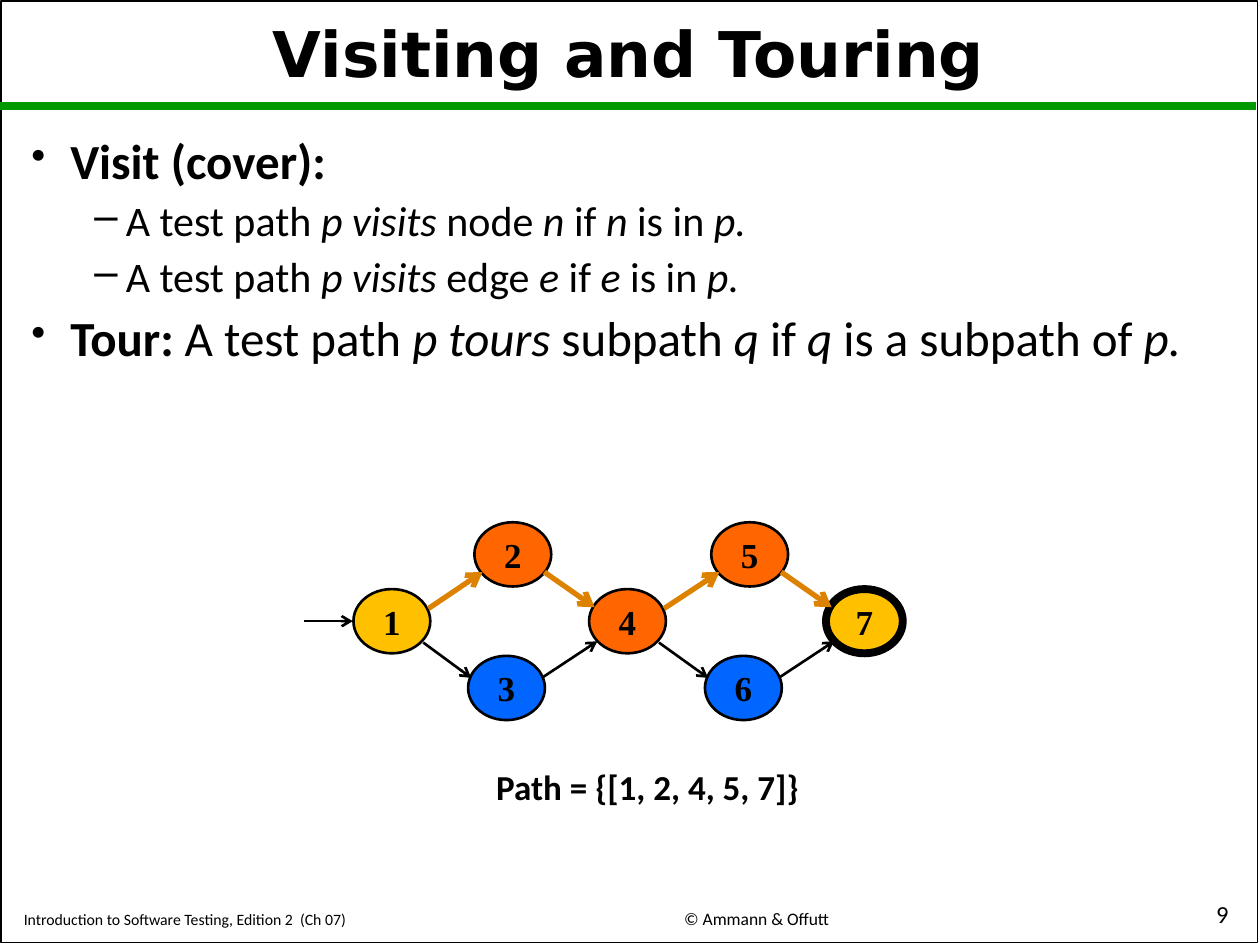
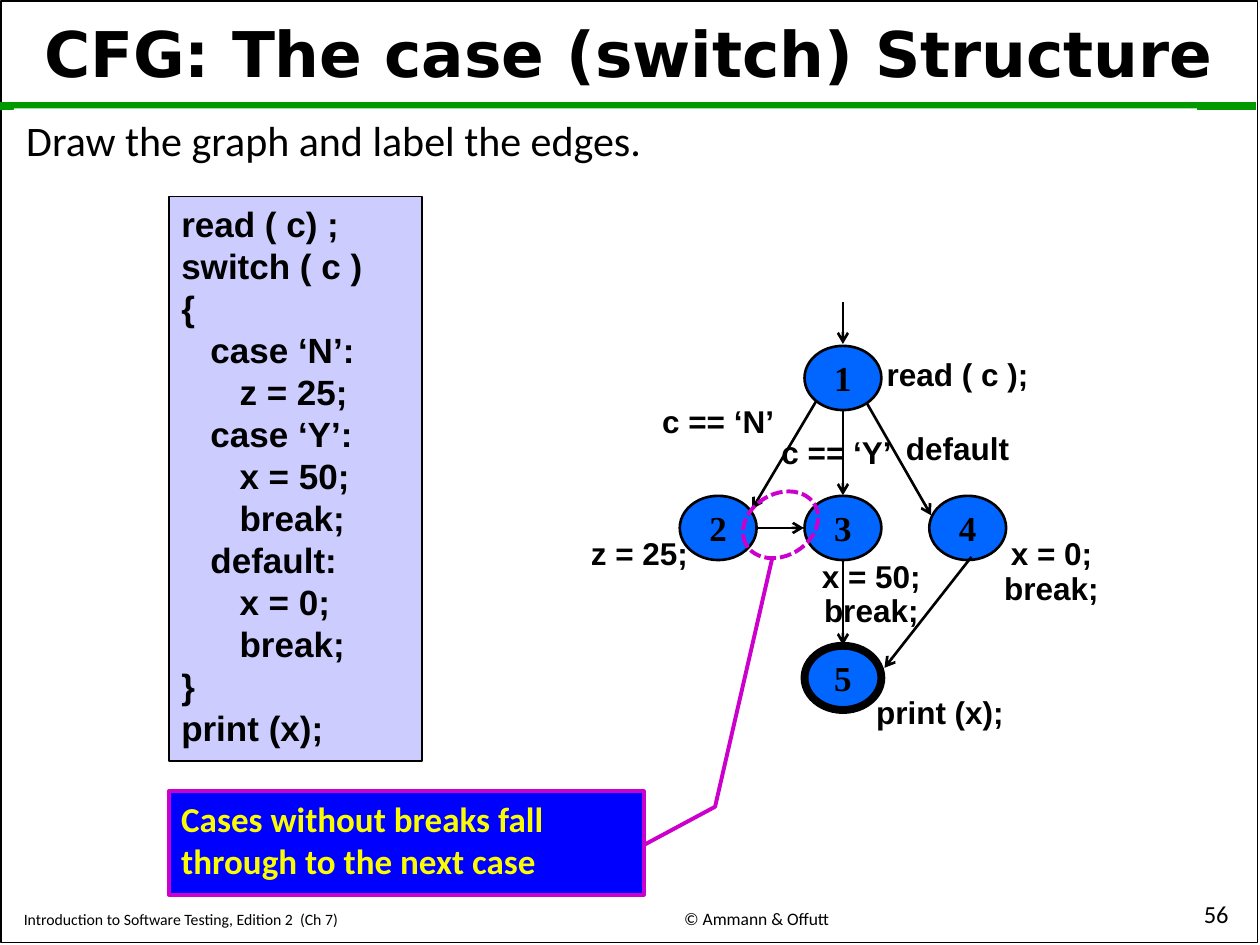
import dataclasses

import pptx
import pptx.dml.color
import pptx.enum.dml
import pptx.enum.shapes
import pptx.enum.text
import pptx.oxml
import pptx.util
from pptx.util import Inches, Pt

SHAPE = pptx.enum.shapes.MSO_SHAPE
ALIGN = pptx.enum.text.PP_ALIGN
ANCHOR = pptx.enum.text.MSO_ANCHOR


@dataclasses.dataclass(frozen=True)
class Theme:
    black: str = "000000"
    white: str = "FFFFFF"
    green: str = "009900"
    gold: str = "FFC000"
    orange: str = "FF6600"
    blue: str = "0066FF"
    tour: str = "DC8200"
    code_fill: str = "CCCCFF"
    note_fill: str = "0000FF"
    note_text: str = "FAFD00"
    magenta: str = "CC00CC"
    body_font: str = "Calibri"
    title_font: str = "DejaVu Sans"
    code_font: str = "Arial"
    node_font: str = "Times New Roman"
    title_size: int = 36
    topic_size: int = 28
    text_size: int = 24
    code_size: int = 20
    label_size: int = 18
    number_size: int = 14
    credit_size: int = 10
    source_size: int = 9
    thin: float = 1
    edge: float = 1.5
    callout: float = 2.25
    path_edge: float = 3
    heavy: float = 4.5


T = Theme()
NODE_W, NODE_H = 0.61, 0.51


def rgb(color):
    return pptx.dml.color.RGBColor.from_string(color)


def add_run(p, text, size, font=T.body_font, color=T.black, bold=False, italic=False):
    r = p.add_run()
    r.text = text
    r.font.size = Pt(size)
    r.font.name = font
    r.font.color.rgb = rgb(color)
    r.font.bold = bold
    r.font.italic = italic


def write_lines(tf, lines, align=ALIGN.LEFT, anchor=ANCHOR.TOP, spacing=None, gap=0, **style):
    """Write one paragraph per line; gap is the space before all but the first."""
    tf.word_wrap = True
    tf.vertical_anchor = anchor
    for i, line in enumerate(lines):
        p = tf.add_paragraph() if i else tf.paragraphs[0]
        p.alignment = align
        if spacing:
            p.line_spacing = spacing
        if i and gap:
            p.space_before = Pt(gap)
        add_run(p, line, **style)


def add_text(s, box, lines, **style):
    tb = s.shapes.add_textbox(*map(Inches, box))
    write_lines(tb.text_frame, lines, **style)


def add_shape(s, kind, box, fill=None, line=None, width=T.thin):
    sp = s.shapes.add_shape(kind, *map(Inches, box))
    sp.shadow.inherit = False
    if fill:
        sp.fill.solid()
        sp.fill.fore_color.rgb = rgb(fill)
    else:
        sp.fill.background()
    if line:
        sp.line.color.rgb = rgb(line)
        sp.line.width = Pt(width)
    else:
        sp.line.fill.background()
    return sp


def add_line(s, start, end, color=T.black, width=T.edge, arrow=True):
    straight = pptx.enum.shapes.MSO_CONNECTOR.STRAIGHT
    c = s.shapes.add_connector(straight, *map(Inches, (*start, *end)))
    c.line.color.rgb = rgb(color)
    c.line.width = Pt(width)
    if arrow:
        tail = pptx.oxml.ns.qn("a:tailEnd")
        c.line._get_or_add_ln().makeelement(tail)
        ln = c.line._get_or_add_ln()
        ln.append(ln.makeelement(tail, {"type": "arrow"}))
    sp_pr = c._element.spPr
    sp_pr.append(sp_pr.makeelement(pptx.oxml.ns.qn("a:effectLst")))


def add_base_slide(prs, title, chapter, number):
    """Add a slide with the frame, title, green rule and footers."""
    s = prs.slides.add_slide(prs.slide_layouts[6])
    add_shape(s, SHAPE.RECTANGLE, (0.01, 0.01, 9.97, 7.47), line=T.black)
    add_line(s, (0, 0.84), (9.97, 0.84), T.green, T.heavy, arrow=False)
    footers = (
        ((0.09, 7.12, 4.12, 0.3), f"Introduction to Software Testing, Edition 2  (Ch {chapter})",
         ALIGN.LEFT, T.source_size),
        ((4.42, 7.11, 3.17, 0.31), "© Ammann & Offutt", ALIGN.CENTER, T.credit_size),
        ((7.89, 7.1, 1.96, 0.32), str(number), ALIGN.RIGHT, T.number_size),
    )
    for box, text, align, size in footers:
        add_text(s, box, [text], align=align, anchor=ANCHOR.BOTTOM, size=size)
    add_text(s, (0.09, 0.11, 9.8, 0.69), [title], align=ALIGN.CENTER, anchor=ANCHOR.MIDDLE,
             spacing=0.9, size=T.title_size, font=T.title_font, bold=True)
    return s


def set_bullet(p, char, margin, indent, percent):
    p_pr = p._p.get_or_add_pPr()
    p_pr.set("marL", str(Inches(margin)))
    p_pr.set("indent", str(Inches(-indent)))
    for tag, key, value in (("a:buSzPct", "val", str(percent * 1000)), ("a:buChar", "char", char)):
        p_pr.append(p_pr.makeelement(pptx.oxml.ns.qn(tag), {key: value}))


def add_definitions(s, box, items):
    """Write bullets given as (level, runs), each run as (text, style letters)."""
    tf = s.shapes.add_textbox(*map(Inches, box)).text_frame
    tf.word_wrap = True
    levels = ((("•", 0.31, 0.31, 85), T.topic_size, 7), (("–", 0.75, 0.25, 100), T.text_size, 6))
    for i, (level, runs) in enumerate(items):
        bullet, size, gap = levels[level]
        p = tf.add_paragraph() if i else tf.paragraphs[0]
        p.level = level
        set_bullet(p, *bullet)
        p.line_spacing = 0.9
        if i:
            p.space_before = Pt(gap)
        for text, style in runs:
            add_run(p, text, size, bold="b" in style, italic="i" in style)


def add_node(s, center, name, fill, final=False):
    x, y = center
    sp = add_shape(s, SHAPE.OVAL, (x - NODE_W / 2, y - NODE_H / 2, NODE_W, NODE_H),
                   fill, T.black, T.heavy if final else T.edge)
    tf = sp.text_frame
    tf.margin_left = tf.margin_right = tf.margin_top = tf.margin_bottom = 0
    write_lines(tf, [name], align=ALIGN.CENTER, anchor=ANCHOR.MIDDLE,
                size=T.code_size, font=T.node_font, bold=True)


def shift(point, offset):
    return point[0] + offset[0], point[1] + offset[1]


def add_tour_graph(s, left, top):
    """Draw two linked diamonds; left and top give the graph's corner."""
    offsets = {"1": (0.7, 0.79), "2": (1.66, 0.26), "3": (1.61, 1.32), "4": (2.57, 0.79),
               "5": (3.54, 0.26), "6": (3.49, 1.32), "7": (4.45, 0.79)}
    nodes = {name: shift((left, top), offset) for name, offset in offsets.items()}
    fills = {"1": T.gold, "7": T.gold, "3": T.blue, "6": T.blue}
    for name, center in nodes.items():
        add_node(s, center, name, fills.get(name, T.orange), final=name == "7")

    add_line(s, shift(nodes["1"], (-0.7, 0)), shift(nodes["1"], (-0.31, 0)))
    for first, upper, lower, last in ("1234", "4567"):
        edges = (
            (first, (0.29, -0.1), upper, (-0.24, 0.14), T.tour, T.path_edge),
            (upper, (0.25, 0.14), last, (-0.26, -0.11), T.tour, T.path_edge),
            (first, (0.25, 0.17), lower, (-0.28, -0.08), T.black, T.edge),
            (lower, (0.28, -0.08), last, (-0.24, 0.16), T.black, T.edge),
        )
        for a, exit_at, b, enter_at, color, width in edges:
            add_line(s, shift(nodes[a], exit_at), shift(nodes[b], enter_at), color, width)


def add_switch_graph(s, left, top):
    """Draw the control flow graph; left and top give its corner."""
    step_x, step_y = 0.99, 1.19
    grid = {"1": (1, 0), "2": (0, 1), "3": (1, 1), "4": (2, 1), "5": (1, 2)}
    nodes = {name: (left + 1.16 + col * step_x, top + 0.6 + row * step_y)
             for name, (col, row) in grid.items()}
    for name, center in nodes.items():
        add_node(s, center, name, T.blue, final=name == "5")

    edges = (
        ("1", (0, -0.6), "1", (0, -0.27)),
        ("1", (-0.21, 0.18), "2", (0.27, -0.15)),
        ("1", (0, 0.26), "3", (0, -0.26)),
        ("1", (0.19, 0.2), "4", (-0.29, -0.1)),
        ("2", (0.31, 0), "3", (-0.31, 0)),
        ("3", (0, 0.26), "5", (0, -0.26)),
        ("4", (0.03, 0.23), "5", (0.33, -0.08)),
    )
    for a, exit_at, b, enter_at in edges:
        add_line(s, shift(nodes[a], exit_at), shift(nodes[b], enter_at))

    labels = (
        (2.34, 0.37, 1.44, 0.4, None, ["read ( c );"]),
        (0.57, 0.74, 1.18, 0.4, None, ["c == ‘N’"]),
        (1.54, 0.99, 1.12, 0.4, None, ["c == ‘Y’"]),
        (2.49, 0.96, 1.14, 0.4, None, ["default"]),
        (0, 1.92, 1.07, 0.25, 0.5, ["z = 25;"]),
        (1.75, 2.1, 1.25, 0.57, 0.5, ["x = 50;", "break;"]),
        (3.28, 1.92, 1.05, 0.56, 0.5, ["x = 0;", "break;"]),
        (2.21, 3.05, 1.42, 0.4, None, ["print (x);"]),
    )
    for x, y, w, h, spacing, lines in labels:
        add_text(s, (left + x, top + y, w, h), lines, align=ALIGN.CENTER, spacing=spacing,
                 gap=9, size=T.label_size, font=T.code_font, bold=True)


def add_code(s, box, lines):
    sp = add_shape(s, SHAPE.RECTANGLE, box, T.code_fill, T.black)
    write_lines(sp.text_frame, lines, size=T.code_size, font=T.code_font, bold=True)


def add_fall_through_note(s, note_box, ring_box):
    note = add_shape(s, SHAPE.LINE_CALLOUT_2, note_box, T.note_fill, T.magenta, T.callout)
    for i, value in enumerate((0.52, 1, 0.15, 1.15, -2.25, 1.27)):
        note.adjustments[i] = value
    write_lines(note.text_frame, ["Cases without breaks fall through to the next case"],
                size=T.code_size, color=T.note_text, bold=True)
    ring = add_shape(s, SHAPE.OVAL, ring_box, line=T.magenta, width=T.callout)
    ring.line.dash_style = pptx.enum.dml.MSO_LINE.SQUARE_DOT
    ring.rotation = 329.5


def build_touring_slide(prs):
    s = add_base_slide(prs, "Visiting and Touring", "07", 9)
    visits = [
        (1, [("A test path ", ""), ("p visits", "i"), (f" {kind} ", ""), (name, "i"),
             (" if ", ""), (name, "i"), (" is in ", ""), ("p.", "i")])
        for kind, name in (("node", "n"), ("edge", "e"))
    ]
    tour = [("Tour:", "b"), (" A test path ", ""), ("p tours ", "i"), ("subpath ", ""),
            ("q", "i"), (" if ", ""), ("q", "i"), (" is a subpath of ", ""), ("p.", "i")]
    add_definitions(s, (0.15, 1.04, 9.7, 2.97),
                    [(0, [("Visit (cover):", "b")]), *visits, (0, tour)])
    add_tour_graph(s, 2.41, 4.14)
    add_text(s, (2.64, 6.03, 5, 0.44), ["Path = {[1, 2, 4, 5, 7]}"],
             align=ALIGN.CENTER, size=T.code_size, bold=True)


def build_switch_slide(prs):
    s = add_base_slide(prs, "CFG: The case (switch) Structure", "7", 56)
    add_code(s, (1.34, 1.56, 2.01, 4.48), [
        "read ( c) ;",
        "switch ( c )",
        "{",
        "   case ‘N’:",
        "      z = 25;",
        "   case ‘Y’:",
        "      x = 50;",
        "      break;",
        "   default:",
        "      x = 0;",
        "      break;",
        "}",
        "print (x);",
    ])
    add_switch_graph(s, 4.54, 2.4)
    task = add_shape(s, SHAPE.RECTANGLE, (0.11, 0.86, 9.39, 0.5), T.white)
    write_lines(task.text_frame, ["Draw the graph and label the edges."], size=T.text_size)
    add_fall_through_note(s, (1.34, 6.28, 3.77, 0.82), (5.88, 3.92, 0.63, 0.49))


def main():
    prs = pptx.Presentation()
    prs.slide_width, prs.slide_height = Inches(10), Inches(7.5)
    build_touring_slide(prs)
    build_switch_slide(prs)
    prs.save("out.pptx")


if __name__ == "__main__":
    main()
